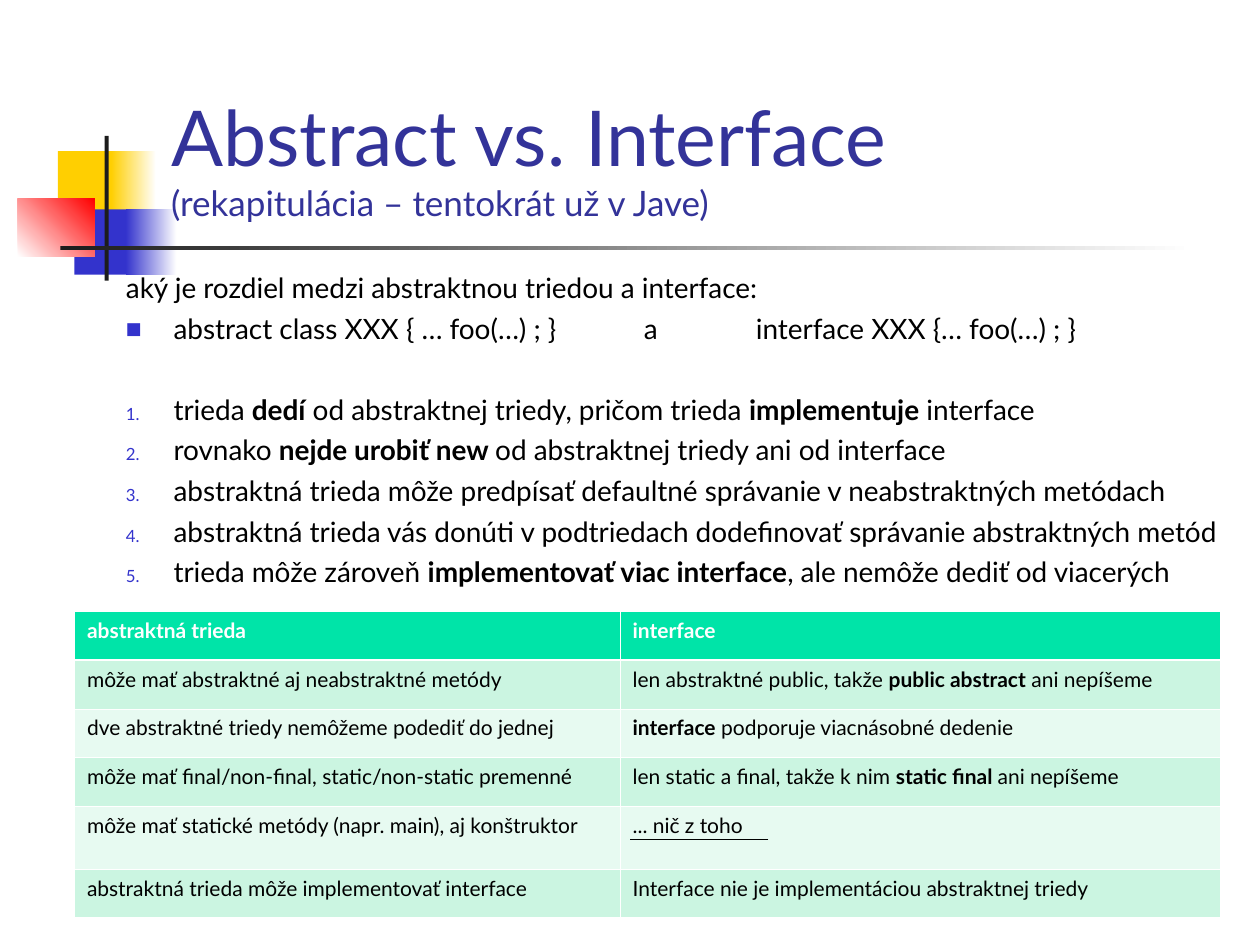
from dataclasses import dataclass

from lxml import etree
from pptx import Presentation
from pptx.dml.color import RGBColor
from pptx.enum.shapes import MSO_CONNECTOR, MSO_SHAPE
from pptx.enum.text import MSO_ANCHOR
from pptx.oxml.ns import qn
from pptx.util import Cm, Pt

RECTANGLE = MSO_SHAPE.RECTANGLE
STRAIGHT = MSO_CONNECTOR.STRAIGHT
TOP, BOTTOM = MSO_ANCHOR.TOP, MSO_ANCHOR.BOTTOM

FONT = "Lato"
COLORS = {
    "yellow": "FFCF01", "blue": "3333CC", "red": "FF0000", "dark": "1C1C1C",
    "white": "FFFFFF", "black": "000000", "title": "333399",
    "header": "00E4A8", "odd_row": "CBF5E1", "even_row": "E7FAF1",
}
NUMBER = ("buAutoNum", {"type": "arabicPeriod"})
SQUARE = ("buChar", {"char": "■"})


@dataclass
class Block:
    left: float
    top: float
    width: float
    height: float
    start: str
    end: str = ""
    angle: int = 0


@dataclass
class Line:
    text: str
    bullet: tuple | None = None
    before: float = 4
    tabs: tuple = ()


BLOCKS = [
    Block(1.17, 3.05, 1.22, 1.32, "yellow"),
    Block(2.24, 3.05, 0.91, 1.32, "yellow", "white"),
    Block(1.5, 4.22, 1.17, 1.32, "blue"),
    Block(2.54, 4.22, 1.02, 1.32, "blue", "white"),
    Block(0.36, 4.01, 1.55, 1.17, "white", "red", 45),
    Block(2.11, 2.74, 0.08, 2.92, "dark"),
    Block(1.22, 4.95, 22.86, 0.09, "dark", "white"),
]
LINES = [
    Line("aký je rozdiel medzi abstraktnou triedou a interface:", before=0),
    Line("abstract class XXX { … foo(…) ; }\ta\tinterface XXX {… foo(…) ; }",
         SQUARE, tabs=(10.44, 12.7)),
    Line("trieda **dedí** od abstraktnej triedy, pričom trieda **implementuje** interface",
         NUMBER, before=27.2),
    Line("rovnako **nejde urobiť new **od abstraktnej triedy ani od interface", NUMBER),
    Line("abstraktná trieda môže predpísať defaultné správanie v neabstraktných metódach", NUMBER),
    Line("abstraktná trieda vás donúti v podtriedach dodefinovať správanie abstraktných metód",
         NUMBER),
    Line("trieda môže zároveň **implementovať viac interface**, ale nemôže dediť od viacerých",
         NUMBER),
]
ROWS = [
    ("**abstraktná trieda**", "**interface**"),
    ("môže mať abstraktné aj neabstraktné metódy",
     "len abstraktné public, takže **public abstract** ani nepíšeme"),
    ("dve abstraktné triedy nemôžeme podediť do jednej",
     "**interface** podporuje viacnásobné dedenie"),
    ("môže mať final/non-final, static/non-static premenné",
     "len static a final, takže k nim **static final **ani nepíšeme"),
    ("môže mať statické metódy (napr. main), aj konštruktor", "... nič z toho"),
    ("abstraktná trieda môže implementovať interface",
     "Interface nie je implementáciou abstraktnej triedy"),
]
COLUMN_WIDTHS = (11, 12.1)
ROW_HEIGHTS = (0.98, 0.98, 0.98, 0.98, 1.27, 0.98)


def rgb(name: str) -> RGBColor:
    return RGBColor.from_string(COLORS[name])


def add_spans(para, text: str, size: float, color: str) -> None:
    """Write text in which ** switches bold on and off."""
    for index, part in enumerate(text.split("**")):
        if not part:
            continue
        span = para.add_run()
        span.text = part
        formats = {"name": FONT, "size": Pt(size), "bold": index % 2 == 1}
        for name, value in formats.items():
            setattr(span.font, name, value)
        span.font.color.rgb = rgb(color)


def add_box(page, left: float, top: float, width: float, height: float, anchor):
    box = page.shapes.add_textbox(Cm(left), Cm(top), Cm(width), Cm(height))
    frame = box.text_frame
    for name, value in {"word_wrap": True, "vertical_anchor": anchor}.items():
        setattr(frame, name, value)
    return frame


def add_block(page, block: Block) -> None:
    shape = page.shapes.add_shape(RECTANGLE, Cm(block.left), Cm(block.top),
                                  Cm(block.width), Cm(block.height))
    shape.shadow.inherit = False
    shape.line.fill.background()
    if not block.end:
        shape.fill.solid()
        shape.fill.fore_color.rgb = rgb(block.start)
        return
    shape.fill.gradient()
    shape.fill.gradient_angle = block.angle
    for stop, color in zip(shape.fill.gradient_stops, (block.start, block.end)):
        stop.color.rgb = rgb(color)


def format_line(para, line: Line) -> None:
    """Set hanging indent, spacing, bullet and tab stops."""
    props = para._p.get_or_add_pPr()
    props.set("marL", str(Cm(0.96)))
    props.set("indent", str(-Cm(0.96)))
    para.space_before = Pt(line.before)
    if line.bullet:
        tag, values = line.bullet
        color = etree.SubElement(props, qn("a:buClr"))
        etree.SubElement(color, qn("a:srgbClr"), val=COLORS["blue"])
        etree.SubElement(props, qn("a:buSzPct"), val="60000")
        etree.SubElement(props, qn("a:buFont"), typeface=FONT)
        etree.SubElement(props, qn(f"a:{tag}"), values)
    else:
        etree.SubElement(props, qn("a:buNone"))
    if line.tabs:
        stops = etree.SubElement(props, qn("a:tabLst"))
        for position in line.tabs:
            etree.SubElement(stops, qn("a:tab"), pos=str(Cm(position)), algn="l")


def add_borders(cell, widths: dict[str, float]) -> None:
    props = cell._tc.get_or_add_tcPr()
    for side, width in widths.items():
        border = etree.SubElement(props, qn(f"a:ln{side}"), w=str(Pt(width)))
        fill = etree.SubElement(border, qn("a:solidFill"))
        etree.SubElement(fill, qn("a:srgbClr"), val=COLORS["white"])


def add_comparison(page) -> None:
    table = page.shapes.add_table(len(ROWS), len(COLUMN_WIDTHS), Cm(1.5), Cm(12.33),
                                  Cm(sum(COLUMN_WIDTHS)), Cm(sum(ROW_HEIGHTS))).table
    for column, width in zip(table.columns, COLUMN_WIDTHS):
        column.width = Cm(width)
    for index, (texts, height) in enumerate(zip(ROWS, ROW_HEIGHTS)):
        table.rows[index].height = Cm(height)
        fill = "header" if index == 0 else "odd_row" if index % 2 else "even_row"
        for cell, text in zip(table.rows[index].cells, texts):
            add_borders(cell, {"L": 0.45, "R": 0.45, "T": 1.47 if index == 1 else 0.45,
                               "B": 1.47 if index == 0 else 0.45})
            cell.fill.solid()
            cell.fill.fore_color.rgb = rgb(fill)
            add_spans(cell.text_frame.paragraphs[0], text, 12,
                      "black" if index else "white")


def add_underline(page) -> None:
    line = page.shapes.add_connector(STRAIGHT, Cm(15.49), Cm(16.92), Cm(12.7), Cm(16.92))
    line.line.width = Pt(0.75)
    line.line.color.rgb = rgb("black")
    etree.SubElement(line._element.spPr, qn("a:effectLst"))


def main() -> None:
    deck = Presentation()
    deck.slide_width, deck.slide_height = Cm(25.4), Cm(19.05)
    page = deck.slides.add_slide(deck.slide_layouts[6])
    for block in BLOCKS:
        add_block(page, block)

    title = add_box(page, 3.2, 0.58, 21.64, 4.06, BOTTOM).paragraphs[0]
    add_spans(title, "Abstract vs. Interface", 44, "title")
    title.add_line_break()
    add_spans(title, "(rekapitulácia – tentokrát už v Jave)", 20, "title")

    body = add_box(page, 2.29, 5.33, 23.11, 13, TOP)
    for index, line in enumerate(LINES):
        para = body.add_paragraph() if index else body.paragraphs[0]
        format_line(para, line)
        add_spans(para, line.text, 16, "black")

    add_comparison(page)
    add_underline(page)
    deck.save("out.pptx")


if __name__ == "__main__":
    main()
